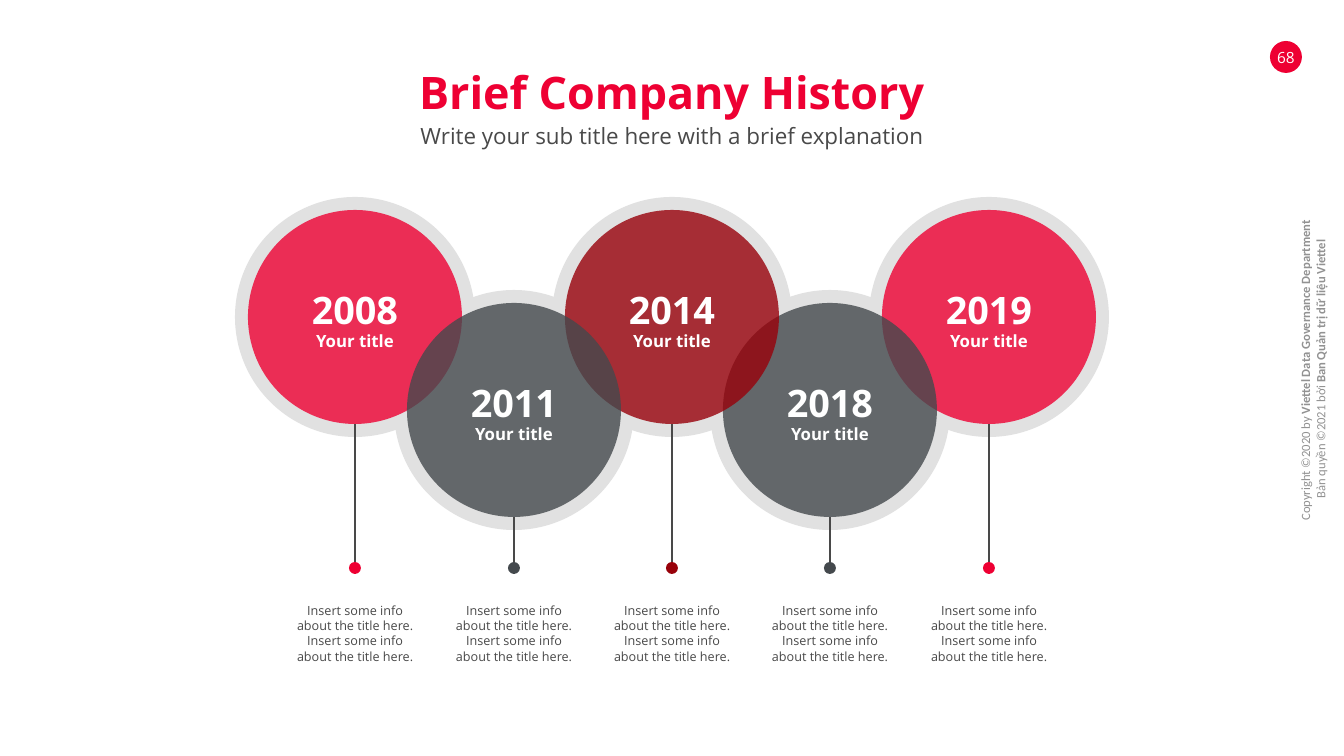
from lxml.etree import SubElement
from pptx import Presentation
from pptx.dml.color import RGBColor
from pptx.enum.shapes import MSO_CONNECTOR, MSO_SHAPE
from pptx.enum.text import PP_ALIGN
from pptx.oxml.ns import qn
from pptx.util import Emu, Pt

RED = RGBColor(0xEE, 0x00, 0x33)
DARK_RED = RGBColor(0x98, 0x01, 0x0A)
SLATE = RGBColor(0x44, 0x49, 0x4D)
TEXT = RGBColor(0x49, 0x49, 0x49)
HALO = RGBColor(0xE1, 0xE1, 0xE1)
GREY = RGBColor(0x92, 0x92, 0x92)
WHITE = RGBColor(0xFF, 0xFF, 0xFF)

PX = 914400 / 100.8

prs = Presentation()
prs.slide_width, prs.slide_height = Emu(round(1344 * PX)), Emu(round(756 * PX))
s = prs.slides.add_slide(prs.slide_layouts[6])


def add_text(text, x, y, w, h, size, color, bold=False, font="Open Sans", inset=(0, 0), rotation=0):
    """Centred text: a newline starts a paragraph, a bar pair encloses bold."""
    sp = s.shapes.add_textbox(*(Emu(round(v * PX)) for v in (x, y, w, h)))
    sp.rotation = rotation
    tf = sp.text_frame
    tf.word_wrap = True
    tf.margin_left = tf.margin_right = Emu(round(inset[0] * PX))
    tf.margin_top = tf.margin_bottom = Emu(round(inset[1] * PX))
    for i, line in enumerate(text.split("\n")):
        p = tf.paragraphs[0] if i == 0 else tf.add_paragraph()
        p.alignment = PP_ALIGN.CENTER
        for j, part in enumerate(line.split("|")):
            if not part:
                continue
            r = p.add_run()
            r.text = part
            r.font.name, r.font.size = font, Pt(size)
            r.font.bold = bold or j % 2 == 1
            r.font.color.rgb = color


def add_circle(cx, cy, d, color, alpha=100):
    sp = s.shapes.add_shape(MSO_SHAPE.OVAL, *(Emu(round(v * PX)) for v in (cx - d / 2, cy - d / 2, d, d)))
    sp.shadow.inherit = False
    sp.fill.solid()
    sp.fill.fore_color.rgb = color
    sp.line.fill.background()
    if alpha < 100:
        fill = sp._element.spPr.find(qn("a:solidFill"))
        SubElement(fill[0], qn("a:alpha"), val=str(alpha * 1000))


# Copyright line and page number
add_text("Copyright ©2020 by |Viettel Data Governance Department |\n"
         "Bản quyền ©2021 bởi |Ban Quản trị dữ liệu Viettel|",
         1080, 349, 465, 40, 9, GREY, font="Calibri", inset=(10, 5), rotation=270)
add_circle(1286, 57, 32, RED)
add_text("68", 1266, 48, 40, 19, 11, WHITE)

# Title and subtitle
add_text("Brief Company History", 73, 65, 1198, 54, 32, RED, bold=True)
add_text("Write your sub title here with a brief explanation", 73, 122, 1198, 27, 16, TEXT)

# Milestones alternate between an upper and a lower row
DISC, DOT, DOT_Y = 214, 12, 568
milestones = []
for i, (year, color) in enumerate([("2008", RED), ("2011", SLATE), ("2014", DARK_RED),
                                   ("2018", SLATE), ("2019", RED)]):
    milestones.append((year, color, round(672 + (i - 2) * 158.3), 410 if i % 2 else 317))

# Halos lie behind everything else
for year, color, cx, cy in milestones:
    add_circle(cx, cy, 240, HALO)

# Stems, dots and descriptions
for year, color, cx, cy in milestones:
    ends = (cx, cy + DISC // 2, cx, DOT_Y - DOT // 2)
    stem = s.shapes.add_connector(MSO_CONNECTOR.STRAIGHT, *(Emu(round(v * PX)) for v in ends))
    stem.line.color.rgb = TEXT
    stem.line.width = Pt(1)
    SubElement(stem._element.spPr, qn("a:effectLst"))
    add_circle(cx, DOT_Y, DOT, color)
    add_text("Insert some info about the title here. Insert some info about the title here.",
             cx - 64, 603, 128, 45, 9, TEXT)

# Translucent discs: the outer pair first, then right to left
for i in (4, 0, 3, 2, 1):
    year, color, cx, cy = milestones[i]
    add_circle(cx, cy, DISC, color, alpha=80)

# Years and captions
for year, color, cx, cy in milestones:
    add_text(year, cx - 76, cy - 30, 152, 45, 27, WHITE, bold=True)
    add_text("Your title", cx - 76, cy + 14, 152, 20, 12, WHITE, bold=True)

prs.save("out.pptx")
